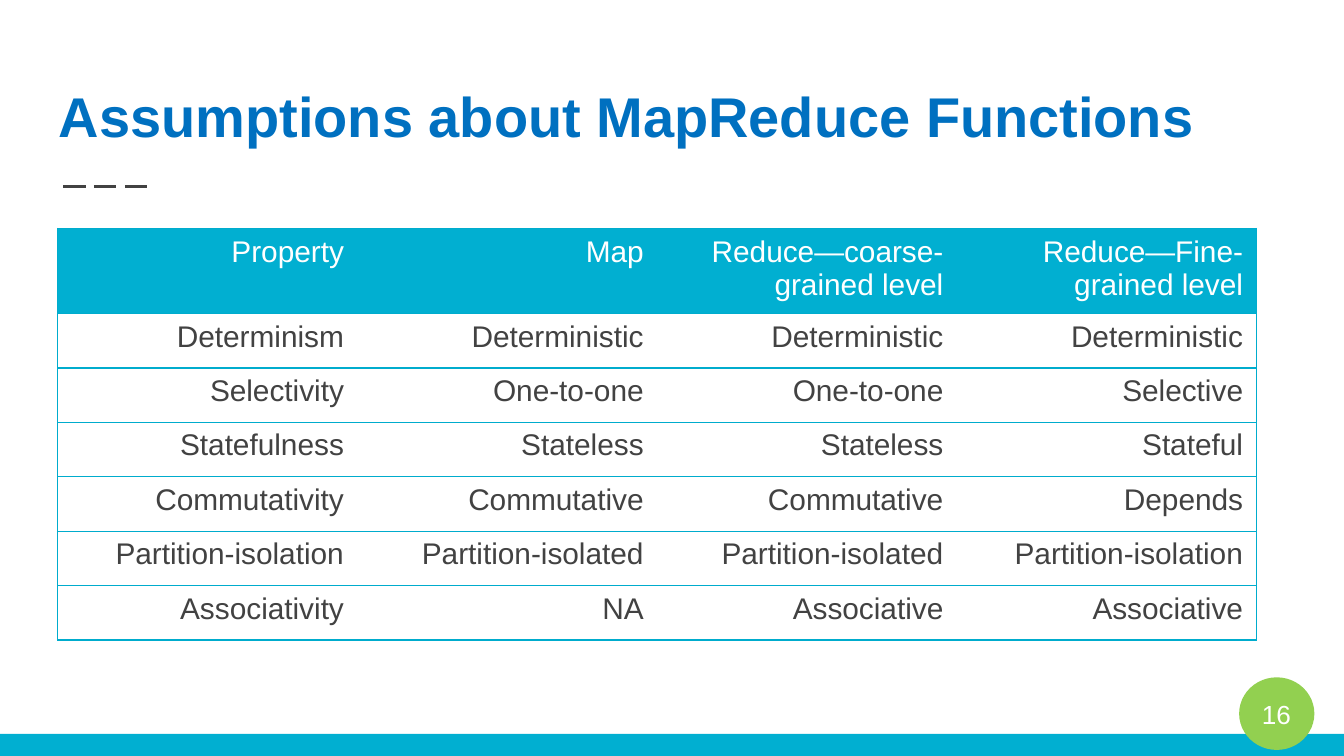
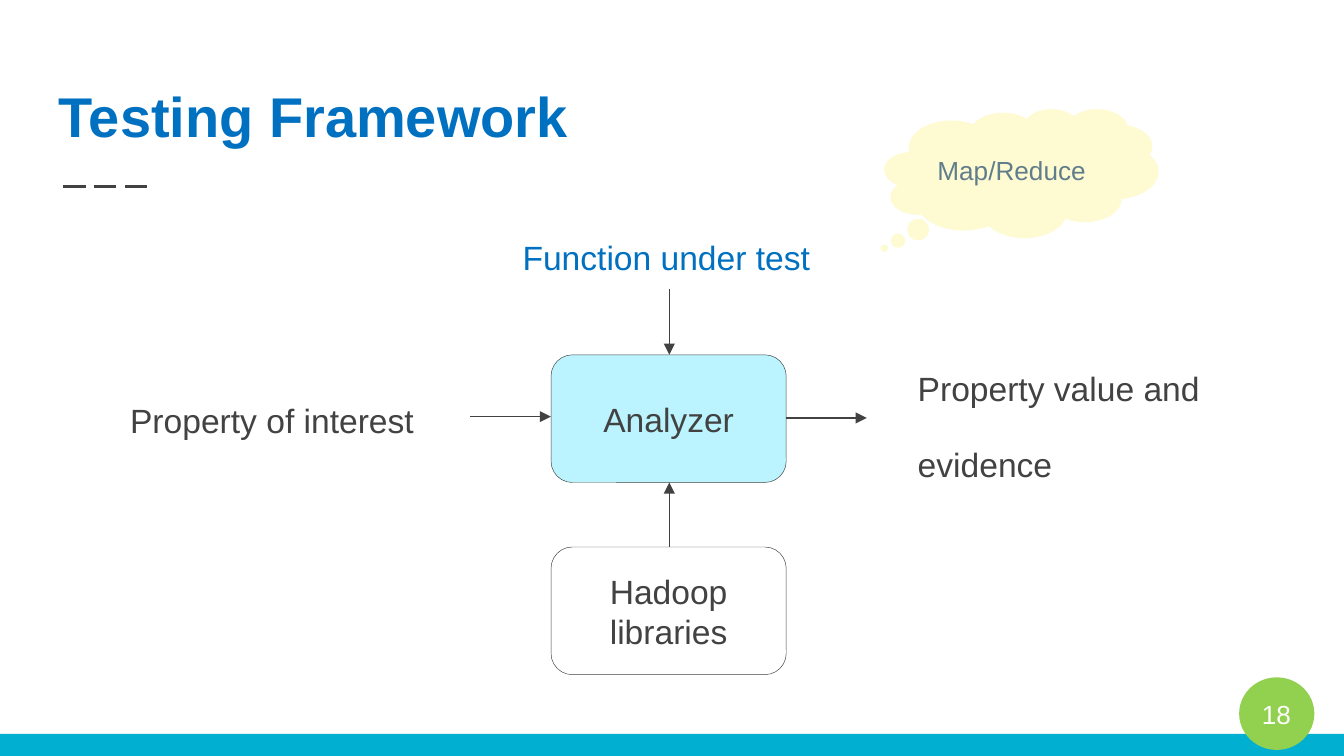
from dataclasses import dataclass

from lxml.etree import SubElement
from pptx import Presentation
from pptx.dml.color import RGBColor
from pptx.enum.dml import MSO_LINE
from pptx.enum.shapes import MSO_CONNECTOR, MSO_SHAPE
from pptx.enum.text import MSO_ANCHOR, MSO_AUTO_SIZE, PP_ALIGN
from pptx.oxml.ns import qn
from pptx.shapes.autoshape import Shape
from pptx.shapes.connector import Connector
from pptx.slide import Slide
from pptx.table import _Cell
from pptx.text.text import TextFrame
from pptx.util import Inches, Pt

FONT = "Arial"
WHITE = RGBColor(0xFF, 0xFF, 0xFF)
INK = RGBColor(0x42, 0x42, 0x42)
TITLE_BLUE = RGBColor(0x00, 0x70, 0xC0)
BAND_TEAL = RGBColor(0x01, 0xAF, 0xD1)
BORDER_TEAL = RGBColor(0x00, 0xAC, 0xCD)
BADGE_GREEN = RGBColor(0x92, 0xD0, 0x50)
BOX_CYAN = RGBColor(0xBB, 0xF4, 0xFF)
CLOUD_YELLOW = RGBColor(0xFE, 0xFA, 0xD2)
CLOUD_TEXT = RGBColor(0x60, 0x7D, 0x8B)
PLAIN_TABLE_STYLE = "{2D5ABB26-0587-4C30-8999-92F81FD0307C}"

SLIDE_WIDTH = 10
SLIDE_HEIGHT = SLIDE_WIDTH * 9 / 16
BAND_TOP = 5.46

PROPERTY_ROWS = [
    ("Property", "Map", "Reduce—coarse-grained level", "Reduce—Fine-grained level"),
    ("Determinism", "Deterministic", "Deterministic", "Deterministic"),
    ("Selectivity", "One-to-one", "One-to-one", "Selective"),
    ("Statefulness", "Stateless", "Stateless", "Stateful"),
    ("Commutativity", "Commutative", "Commutative", "Depends"),
    ("Partition-isolation", "Partition-isolated", "Partition-isolated", "Partition-isolation"),
    ("Associativity", "NA", "Associative", "Associative"),
]
COLUMN_WIDTH = 2.23
HEADER_HEIGHT = 0.59
BODY_HEIGHT = 2.43


@dataclass(frozen=True)
class Box:
    left: float
    top: float
    width: float
    height: float

    def lengths(self) -> list[Inches]:
        return [Inches(v) for v in (self.left, self.top, self.width, self.height)]


@dataclass(frozen=True)
class Label:
    text: str
    box: Box
    color: RGBColor = INK


@dataclass(frozen=True)
class Arrow:
    start: tuple[float, float]
    end: tuple[float, float]


ANALYZER = Box(4.1, 2.64, 1.75, 0.95)
LIBRARIES = Box(4.1, 4.07, 1.75, 0.95)
CENTER_X = 4.98
CENTER_Y = 3.11
BOX_RIGHT = ANALYZER.left + ANALYZER.width

LABELS = [
    Label("Property value and\nevidence", Box(6.73, 2.64, 2.39, 1.02)),
    Label("Property of interest", Box(0.87, 2.88, 2.33, 0.45)),
    Label("Function under test", Box(3.79, 1.67, 2.36, 0.45), TITLE_BLUE),
]
ARROWS = [
    Arrow((CENTER_X, LIBRARIES.top), (CENTER_X, ANALYZER.top + ANALYZER.height)),
    Arrow((BOX_RIGHT, CENTER_Y), (BOX_RIGHT + 0.6, CENTER_Y)),
    Arrow((ANALYZER.left - 0.6, 3.1), (ANALYZER.left, 3.1)),
    Arrow((CENTER_X, 2.15), (CENTER_X, ANALYZER.top)),
]


def write(frame: TextFrame, text: str, size: int, color: RGBColor,
          align: PP_ALIGN = PP_ALIGN.LEFT, bold: bool = False) -> None:
    frame.text = text
    for paragraph in frame.paragraphs:
        paragraph.alignment = align
        paragraph.font.name = FONT
        paragraph.font.size = Pt(size)
        paragraph.font.bold = bold
        paragraph.font.color.rgb = color


def add_text(slide: Slide, box: Box, text: str, size: int, color: RGBColor,
             anchor: MSO_ANCHOR, bold: bool = False) -> None:
    """Add a wrapped text box with equal insets on all sides."""
    frame = slide.shapes.add_textbox(*box.lengths()).text_frame
    frame.word_wrap = True
    frame.vertical_anchor = anchor
    frame.margin_left = frame.margin_right = Inches(0.1)
    frame.margin_top = frame.margin_bottom = Inches(0.1)
    write(frame, text, size, color, bold=bold)


def add_filled(slide: Slide, preset: MSO_SHAPE, box: Box, fill: RGBColor | None,
               outlined: bool = False) -> Shape:
    shape = slide.shapes.add_shape(preset, *box.lengths())
    shape.shadow.inherit = False
    if fill is None:
        shape.fill.background()
    else:
        shape.fill.solid()
        shape.fill.fore_color.rgb = fill
    if outlined:
        shape.line.color.rgb = INK
        shape.line.width = Pt(0.25)
    else:
        shape.line.fill.background()
    return shape


def add_line(slide: Slide, start: tuple[float, float], end: tuple[float, float],
             width: float) -> Connector:
    ends = [Inches(v) for v in (*start, *end)]
    line = slide.shapes.add_connector(MSO_CONNECTOR.STRAIGHT, *ends)
    line.line.color.rgb = INK
    line.line.width = Pt(width)
    SubElement(line._element.spPr, qn("a:effectLst"))
    return line


def add_arrow(slide: Slide, arrow: Arrow) -> None:
    connector = add_line(slide, arrow.start, arrow.end, 0.75)
    SubElement(connector.line._get_or_add_ln(), qn("a:tailEnd"), type="triangle")


def add_node(slide: Slide, box: Box, text: str, fill: RGBColor | None) -> None:
    node = add_filled(slide, MSO_SHAPE.ROUNDED_RECTANGLE, box, fill, outlined=True)
    node.text_frame.vertical_anchor = MSO_ANCHOR.MIDDLE
    write(node.text_frame, text, 18, INK, PP_ALIGN.CENTER)


def add_label(slide: Slide, label: Label) -> None:
    frame = slide.shapes.add_textbox(*label.box.lengths()).text_frame
    frame.word_wrap = False
    frame.auto_size = MSO_AUTO_SIZE.SHAPE_TO_FIT_TEXT
    write(frame, label.text, 18, label.color)
    for paragraph in frame.paragraphs:
        paragraph.line_spacing = 1.15
        paragraph.space_after = Pt(16)


def add_border(cell: _Cell, side: str) -> None:
    """Draw one side of a cell: L, R, T or B."""
    edge = SubElement(cell._tc.get_or_add_tcPr(), qn(f"a:ln{side}"), w=str(Pt(0.75)))
    SubElement(SubElement(edge, qn("a:solidFill")), qn("a:srgbClr"), val=str(BORDER_TEAL))


def add_property_table(slide: Slide) -> None:
    row_count, column_count = len(PROPERTY_ROWS), len(PROPERTY_ROWS[0])
    box = Box(0.43, 1.7, COLUMN_WIDTH * column_count, HEADER_HEIGHT + BODY_HEIGHT)
    table = slide.shapes.add_table(row_count, column_count, *box.lengths()).table
    table._tbl.tblPr.find(qn("a:tableStyleId")).text = PLAIN_TABLE_STYLE
    table.first_row = table.horz_banding = False
    for r, values in enumerate(PROPERTY_ROWS):
        table.rows[r].height = Inches(BODY_HEIGHT / (row_count - 1) if r else HEADER_HEIGHT)
        for c, value in enumerate(values):
            cell = table.cell(r, c)
            write(cell.text_frame, value, 16, INK if r else WHITE, PP_ALIGN.RIGHT)
            if c == 0:
                add_border(cell, "L")
            if c == column_count - 1:
                add_border(cell, "R")
            add_border(cell, "T")
            add_border(cell, "B")
            if r == 0:
                cell.fill.solid()
                cell.fill.fore_color.rgb = BAND_TEAL
            else:
                cell.fill.background()


def add_base_slide(deck: Presentation, title: str, number: int) -> Slide:
    """Add a slide with the shared title, dashes, band and page badge."""
    slide = deck.slides.add_slide(deck.slide_layouts[6])
    dashes = add_line(slide, (0.47, 1.39), (1.14, 1.39), 1.5)
    dashes.line.dash_style = MSO_LINE.LONG_DASH
    band = Box(0, BAND_TOP, SLIDE_WIDTH, SLIDE_HEIGHT - BAND_TOP)
    add_filled(slide, MSO_SHAPE.RECTANGLE, band, BAND_TEAL)
    add_filled(slide, MSO_SHAPE.OVAL, Box(9.22, 5.04, 0.56, 0.54), BADGE_GREEN)
    add_text(slide, Box(0.34, 0.41, 9.32, 0.8), title, 30, TITLE_BLUE,
             MSO_ANCHOR.BOTTOM, bold=True)
    add_text(slide, Box(9.29, 5.1, 0.6, 0.43), str(number), 14, WHITE, MSO_ANCHOR.MIDDLE)
    return slide


def add_framework_diagram(slide: Slide) -> None:
    add_node(slide, ANALYZER, "Analyzer", BOX_CYAN)
    add_node(slide, LIBRARIES, "Hadoop libraries", None)
    for arrow in ARROWS:
        add_arrow(slide, arrow)
    for label in LABELS:
        add_label(slide, label)
    cloud = add_filled(slide, MSO_SHAPE.CLOUD_CALLOUT, Box(6.58, 0.81, 2.04, 0.96), CLOUD_YELLOW)
    cloud.adjustments[0] = -0.5
    cloud.adjustments[1] = 0.58
    cloud.text_frame.vertical_anchor = MSO_ANCHOR.MIDDLE
    write(cloud.text_frame, "Map/Reduce", 14, CLOUD_TEXT, PP_ALIGN.CENTER)


def main() -> None:
    deck = Presentation()
    deck.slide_width = Inches(SLIDE_WIDTH)
    deck.slide_height = Inches(SLIDE_HEIGHT)
    add_property_table(add_base_slide(deck, "Assumptions about MapReduce Functions", 16))
    add_framework_diagram(add_base_slide(deck, "Testing Framework", 18))
    deck.save("out.pptx")


if __name__ == "__main__":
    main()
